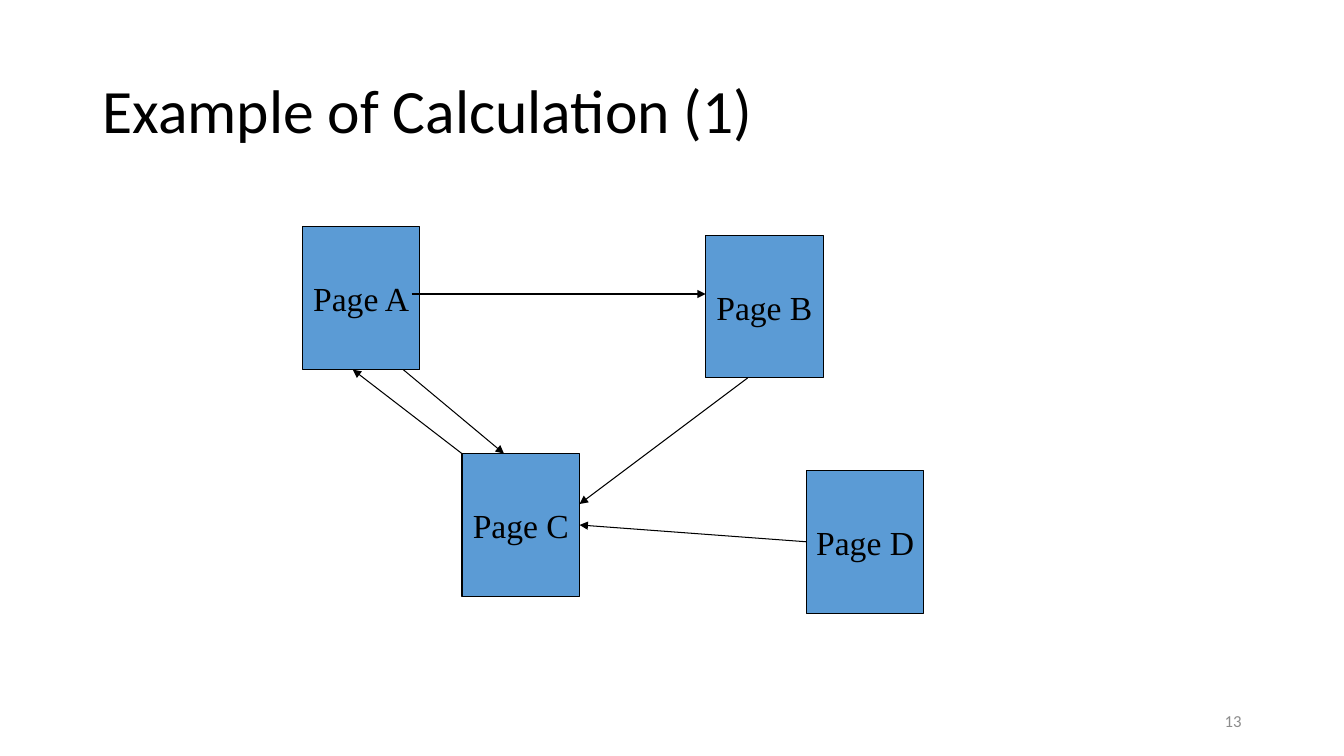
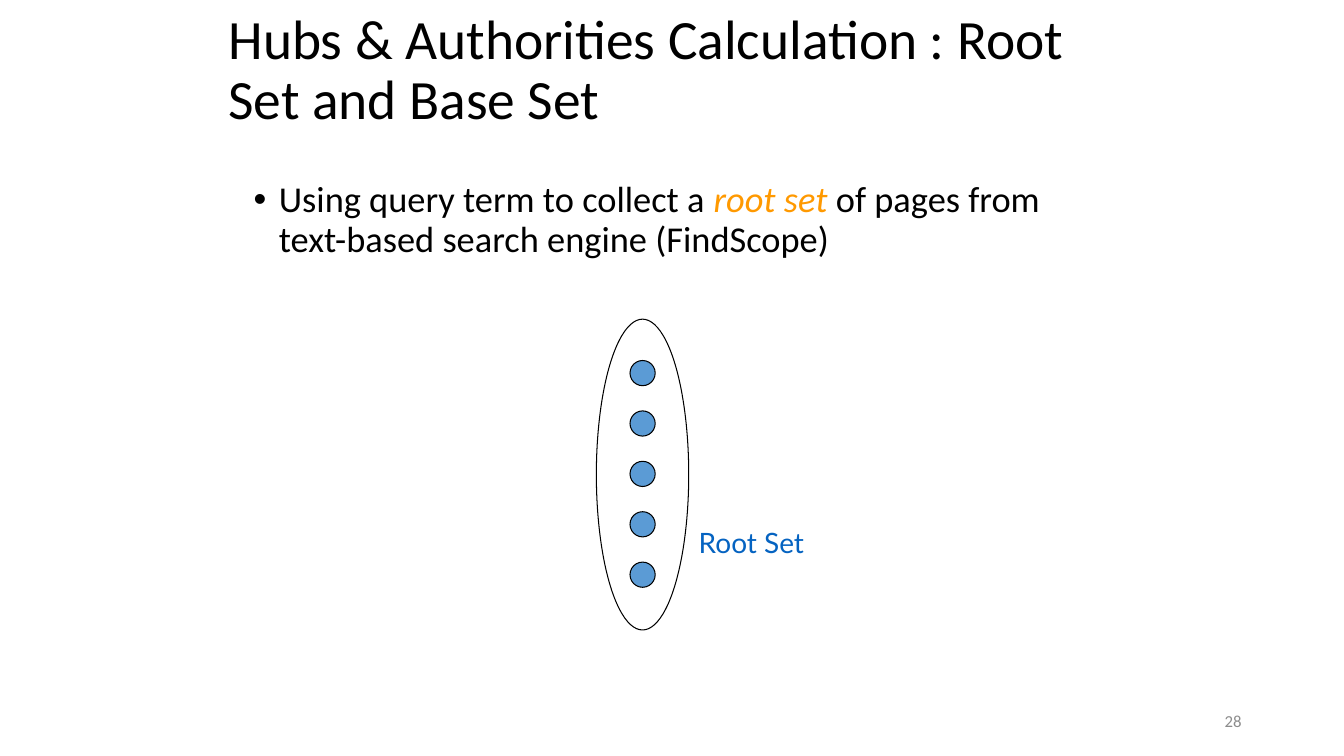
from dataclasses import dataclass
from typing import NamedTuple, Optional

from pptx import Presentation
from pptx.dml.color import RGBColor
from pptx.enum.shapes import MSO_CONNECTOR, MSO_SHAPE
from pptx.enum.text import MSO_ANCHOR, MSO_AUTO_SIZE, PP_ALIGN
from pptx.oxml.ns import qn
from pptx.util import Pt

RECTANGLE, OVAL = MSO_SHAPE.RECTANGLE, MSO_SHAPE.OVAL
STRAIGHT = MSO_CONNECTOR.STRAIGHT
LEFT, CENTER, RIGHT = PP_ALIGN.LEFT, PP_ALIGN.CENTER, PP_ALIGN.RIGHT
TOP, MIDDLE = MSO_ANCHOR.TOP, MSO_ANCHOR.MIDDLE
NO_AUTOFIT = MSO_AUTO_SIZE.NONE
LEFT_SIDE, RIGHT_SIDE = 1, 3
TITLE_AND_CONTENT, TITLE_ONLY = 1, 5

COLORS = {
    "text": "000000",
    "line": "000000",
    "node": "5B9BD5",
    "accent": "FF9900",
    "label": "0563C1",
    "number": "8C8C8C",
}
FORMATS = {
    "title": {"name": "Calibri", "size": Pt(44), "color": "text"},
    "long title": {"name": "Calibri", "size": Pt(39.6), "color": "text"},
    "body": {"name": "Calibri", "size": Pt(26), "color": "text"},
    "emphasis": {"name": "Calibri", "size": Pt(26), "color": "accent", "italic": True},
    "page": {"name": "Times New Roman", "size": Pt(24), "color": "text"},
    "label": {"name": "Lato", "size": Pt(20), "color": "label"},
    "number": {"name": "Calibri", "size": Pt(12), "color": "number"},
}
LINE_WIDTH = 0.75


class Box(NamedTuple):
    left: float
    top: float
    width: float
    height: float

    def lengths(self) -> list:
        return [Pt(value) for value in self]


class Point(NamedTuple):
    x: float
    y: float


@dataclass
class Page:
    name: str
    left: float
    top: float


@dataclass
class Link:
    """An arrow; a side joins that end to the middle of the page's side."""
    source: str
    target: str
    start: Point
    end: Point
    source_side: Optional[int] = None
    target_side: Optional[int] = None


NUMBER_BOX = Box(678, 500.5, 216, 28.75)
PAGE_WIDTH, PAGE_HEIGHT = 84, 102
PAGES = [
    Page("A", 216, 162),
    Page("C", 330, 324),
    Page("B", 504, 168),
    Page("D", 576, 336),
]
LINKS = [
    Link("A", "B", Point(294, 210), Point(504, 210)),
    Link("B", "C", Point(534, 270), Point(414, 360)),
    Link("D", "C", Point(576, 387), Point(414, 375), LEFT_SIDE, RIGHT_SIDE),
    Link("A", "C", Point(288, 264), Point(360, 324)),
    Link("C", "A", Point(330, 324), Point(252, 264)),
]
ROOT_SET = Box(426, 228, 66, 222)
DOT_COUNT, DOT_SIZE, DOT_PITCH = 5, 18, 36


def rgb(color: str) -> RGBColor:
    return RGBColor.from_string(COLORS[color])


def add_run(paragraph, text: str, style: str) -> None:
    run = paragraph.add_run()
    run.text = text
    for attribute, value in FORMATS[style].items():
        if attribute == "color":
            run.font.color.rgb = rgb(value)
        else:
            setattr(run.font, attribute, value)


def write(shape, runs: list, alignment=LEFT, anchor=TOP, wrap: bool = True, **spacing):
    """Fill the shape's first paragraph with (text, style) runs and return it."""
    frame = shape.text_frame
    frame_format = {"auto_size": NO_AUTOFIT, "word_wrap": wrap, "vertical_anchor": anchor}
    for attribute, value in frame_format.items():
        setattr(frame, attribute, value)
    paragraph = frame.paragraphs[0]
    paragraph_format = {"alignment": alignment, "space_before": Pt(0), **spacing}
    for attribute, value in paragraph_format.items():
        setattr(paragraph, attribute, value)
    for text, style in runs:
        add_run(paragraph, text, style)
    return paragraph


def place(shape, box: Box) -> None:
    for attribute, value in zip(Box._fields, box.lengths()):
        setattr(shape, attribute, value)


def add_text(slide, box: Box, text: str, style: str, **layout) -> None:
    write(slide.shapes.add_textbox(*box.lengths()), [(text, style)], **layout)


def add_slide(presentation, layout: int, title: str, title_box: Box, style: str, number: int):
    slide = presentation.slides.add_slide(presentation.slide_layouts[layout])
    place(slide.shapes.title, title_box)
    write(slide.shapes.title, [(title, style)], anchor=MIDDLE, line_spacing=0.9)
    add_text(slide, NUMBER_BOX, str(number), "number", alignment=RIGHT, anchor=MIDDLE)
    return slide


def add_outlined(slide, kind, box: Box, fill: Optional[str] = None):
    shape = slide.shapes.add_shape(kind, *box.lengths())
    shape.shadow.inherit = False
    if fill:
        shape.fill.solid()
        shape.fill.fore_color.rgb = rgb(fill)
    else:
        shape.fill.background()
    shape.line.color.rgb = rgb("line")
    shape.line.width = Pt(LINE_WIDTH)
    return shape


def add_link(slide, link: Link, page_shapes: dict) -> None:
    ends = [Pt(value) for value in (*link.start, *link.end)]
    connector = slide.shapes.add_connector(STRAIGHT, *ends)
    if link.source_side is not None:
        connector.begin_connect(page_shapes[link.source], link.source_side)
    if link.target_side is not None:
        connector.end_connect(page_shapes[link.target], link.target_side)
    connector.line.color.rgb = rgb("line")
    connector.line.width = Pt(LINE_WIDTH)
    line = connector.line._get_or_add_ln()
    line.append(line.makeelement(qn("a:tailEnd"), {"type": "triangle"}))
    properties = line.getparent()
    properties.append(properties.makeelement(qn("a:effectLst"), {}))


def build_link_graph(presentation) -> None:
    slide = add_slide(presentation, TITLE_ONLY, "Example of Calculation (1)",
                      Box(66, 28.75, 828, 104.4), "title", 13)
    page_shapes = {}
    for page in PAGES:
        box = Box(page.left, page.top, PAGE_WIDTH, PAGE_HEIGHT)
        shape = add_outlined(slide, RECTANGLE, box, "node")
        write(shape, [(f"Page {page.name}", "page")], CENTER, MIDDLE, wrap=False)
        page_shapes[page.name] = shape
    for link in LINKS:
        add_link(slide, link, page_shapes)


def build_root_set(presentation) -> None:
    slide = add_slide(presentation, TITLE_AND_CONTENT,
                      "Hubs & Authorities Calculation : Root Set and Base Set",
                      Box(156, 21.6, 648, 59), "long title", 28)
    body = slide.placeholders[1]
    place(body, Box(174, 126, 612, 114))
    paragraph = write(body, [
        ("Using query term to collect a ", "body"),
        ("root set", "emphasis"),
        (" of pages from text-based search engine (FindScope)", "body"),
    ], line_spacing=0.9)
    properties = paragraph._p.get_or_add_pPr()
    properties.set("marL", str(Pt(18)))
    properties.set("indent", str(-Pt(18)))

    dot_left = ROOT_SET.left + (ROOT_SET.width - DOT_SIZE) / 2
    column_height = (DOT_COUNT - 1) * DOT_PITCH + DOT_SIZE
    first_top = ROOT_SET.top + (ROOT_SET.height - column_height) / 2 - 0.5
    for index in range(DOT_COUNT):
        dot = Box(dot_left, first_top + index * DOT_PITCH, DOT_SIZE, DOT_SIZE)
        add_outlined(slide, OVAL, dot, "node")
    add_outlined(slide, OVAL, ROOT_SET)
    add_text(slide, Box(492, 372, 90, 31), "Root Set", "label")


def main() -> None:
    presentation = Presentation()
    presentation.slide_width = Pt(960)
    presentation.slide_height = Pt(540)
    build_link_graph(presentation)
    build_root_set(presentation)
    presentation.save("out.pptx")


if __name__ == "__main__":
    main()
